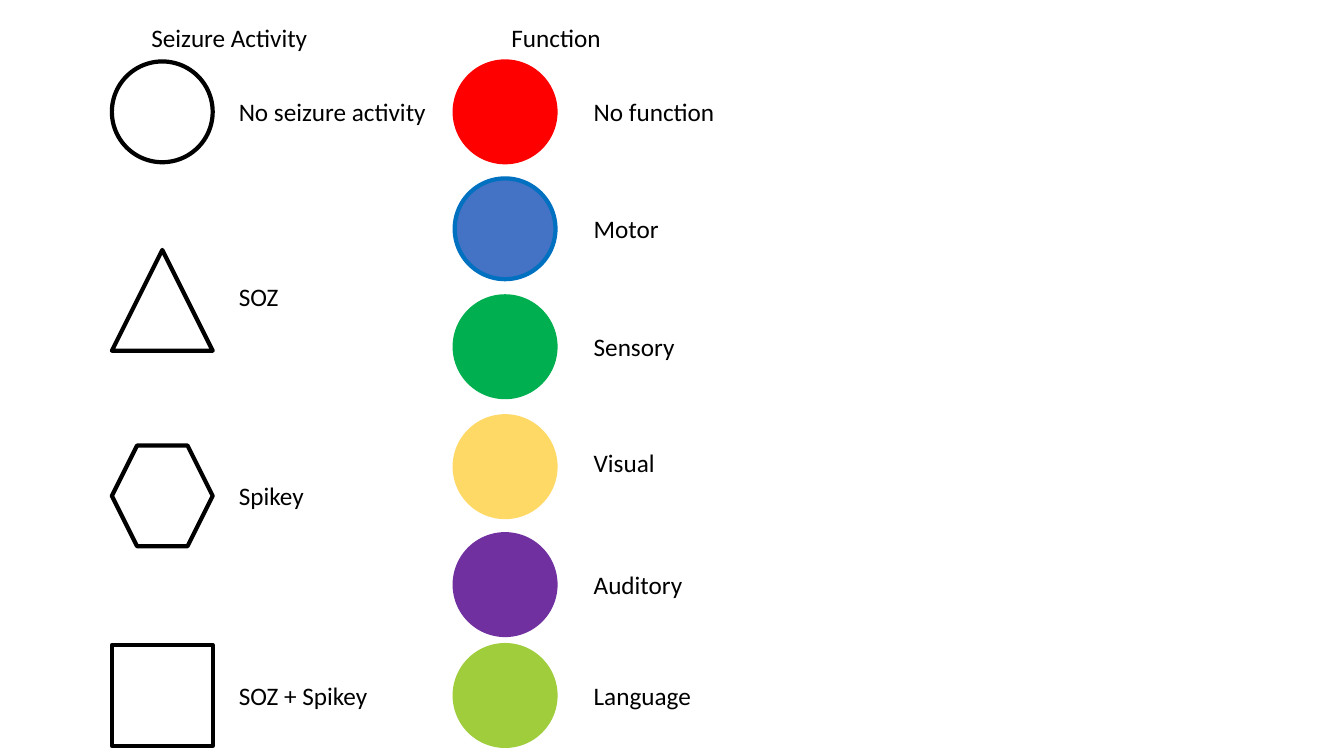
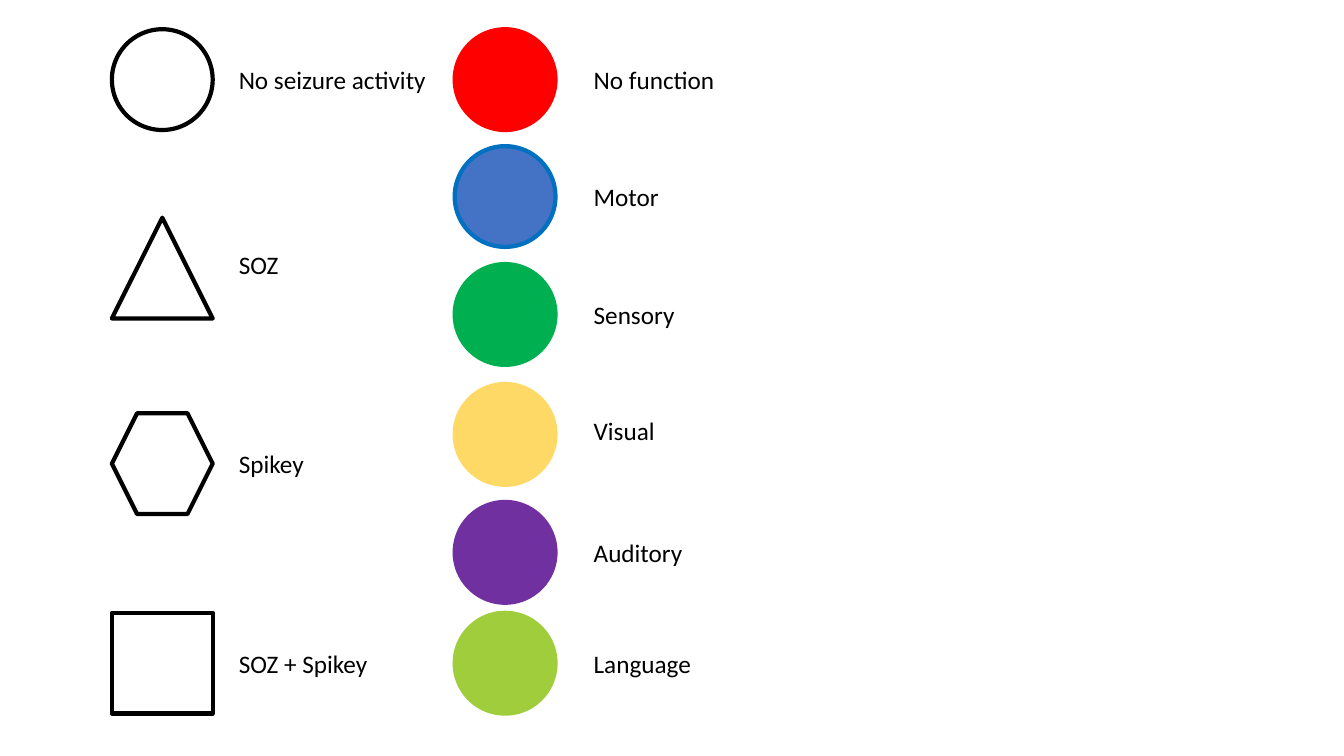
from dataclasses import dataclass

from pptx import Presentation
from pptx.dml.color import RGBColor
from pptx.enum.shapes import MSO_SHAPE as Preset
from pptx.enum.text import MSO_AUTO_SIZE as AutoSize, PP_ALIGN as Align
from pptx.util import Inches, Pt


@dataclass(frozen=True)
class Theme:
    font: str = "Calibri"
    text_size: int = 18
    outline: int = 3
    black: str = "000000"
    red: str = "FF0000"
    blue: str = "4472C4"
    blue_edge: str = "0070C0"
    green: str = "00B050"
    yellow: str = "FFD966"
    purple: str = "7030A0"
    lime: str = "9FCD3C"


THEME = Theme()
MARKER_SIZE = 1
TEXT_HEIGHT = 0.4
LABEL_WIDTH = 1.76
LABEL_DROP = 0.3
HEADING_WIDTH = 2.93
HEADING_TOP = 0.17
SEIZURE_MARKER_LEFT, SEIZURE_LABEL_LEFT = 1.11, 2.27
FUNCTION_MARKER_LEFT, FUNCTION_LABEL_LEFT = 4.51, 5.79

HEADINGS = [("Seizure Activity", 0.81), ("Function", 4.05)]
SEIZURE_KEY = [
    ("No seizure activity", Preset.OVAL, 0, LABEL_DROP, 2.1),
    ("SOZ", Preset.ISOSCELES_TRIANGLE, 1.87, 0.26, LABEL_WIDTH),
    ("Spikey", Preset.HEXAGON, 3.81, LABEL_DROP, LABEL_WIDTH),
    ("SOZ + Spikey", Preset.RECTANGLE, 5.79, LABEL_DROP, LABEL_WIDTH),
]
FUNCTION_KEY = [
    ("No function", THEME.red, THEME.red, 0, LABEL_DROP),
    ("Motor", THEME.blue, THEME.blue_edge, 1.16, LABEL_DROP),
    ("Sensory", THEME.green, THEME.green, 2.33, LABEL_DROP),
    ("Visual", THEME.yellow, THEME.yellow, 3.52, 0.26),
    ("Auditory", THEME.purple, THEME.purple, 4.69, LABEL_DROP),
    ("Language", THEME.lime, THEME.lime, 5.79, LABEL_DROP),
]


class LegendDeck:
    """Draw legend slides in one shared style."""

    def __init__(self, theme):
        self.theme = theme
        self.deck = Presentation()
        self.deck.slide_width = Inches(13.33)
        self.deck.slide_height = Inches(7.5)
        self.slide = None

    def new_slide(self):
        self.slide = self.deck.slides.add_slide(self.deck.slide_layouts[6])

    def marker(self, preset, left, top, edge, fill=None):
        marker = self.slide.shapes.add_shape(
            preset, Inches(left), Inches(top), Inches(MARKER_SIZE), Inches(MARKER_SIZE)
        )
        marker.shadow.inherit = False
        if fill:
            marker.fill.solid()
            marker.fill.fore_color.rgb = RGBColor.from_string(fill)
        else:
            marker.fill.background()
        marker.line.color.rgb = RGBColor.from_string(edge)
        marker.line.width = Pt(self.theme.outline)

    def label(self, text, left, top, width=LABEL_WIDTH, align=Align.LEFT):
        label = self.slide.shapes.add_textbox(
            Inches(left), Inches(top), Inches(width), Inches(TEXT_HEIGHT)
        )
        frame = label.text_frame
        frame.text = text
        frame.word_wrap = True
        frame.auto_size = AutoSize.SHAPE_TO_FIT_TEXT
        paragraph = frame.paragraphs[0]
        paragraph.alignment = align
        font = paragraph.runs[0].font
        font.name = self.theme.font
        font.size = Pt(self.theme.text_size)
        font.color.rgb = RGBColor.from_string(self.theme.black)

    def headings(self):
        for text, left in HEADINGS:
            self.label(text, left, HEADING_TOP, HEADING_WIDTH, Align.CENTER)

    def seizure_key(self, top):
        for text, preset, offset, drop, width in SEIZURE_KEY:
            self.marker(preset, SEIZURE_MARKER_LEFT, top + offset, self.theme.black)
            self.label(text, SEIZURE_LABEL_LEFT, top + offset + drop, width)

    def function_key(self, top):
        for text, fill, edge, offset, drop in FUNCTION_KEY:
            self.marker(Preset.OVAL, FUNCTION_MARKER_LEFT, top + offset, edge, fill)
            self.label(text, FUNCTION_LABEL_LEFT, top + offset + drop)


def main():
    legend = LegendDeck(THEME)
    for key_top, has_headings in [(0.61, True), (0.29, False)]:
        legend.new_slide()
        legend.seizure_key(key_top)
        legend.function_key(key_top)
        if has_headings:
            legend.headings()
    legend.deck.save("out.pptx")


if __name__ == "__main__":
    main()
